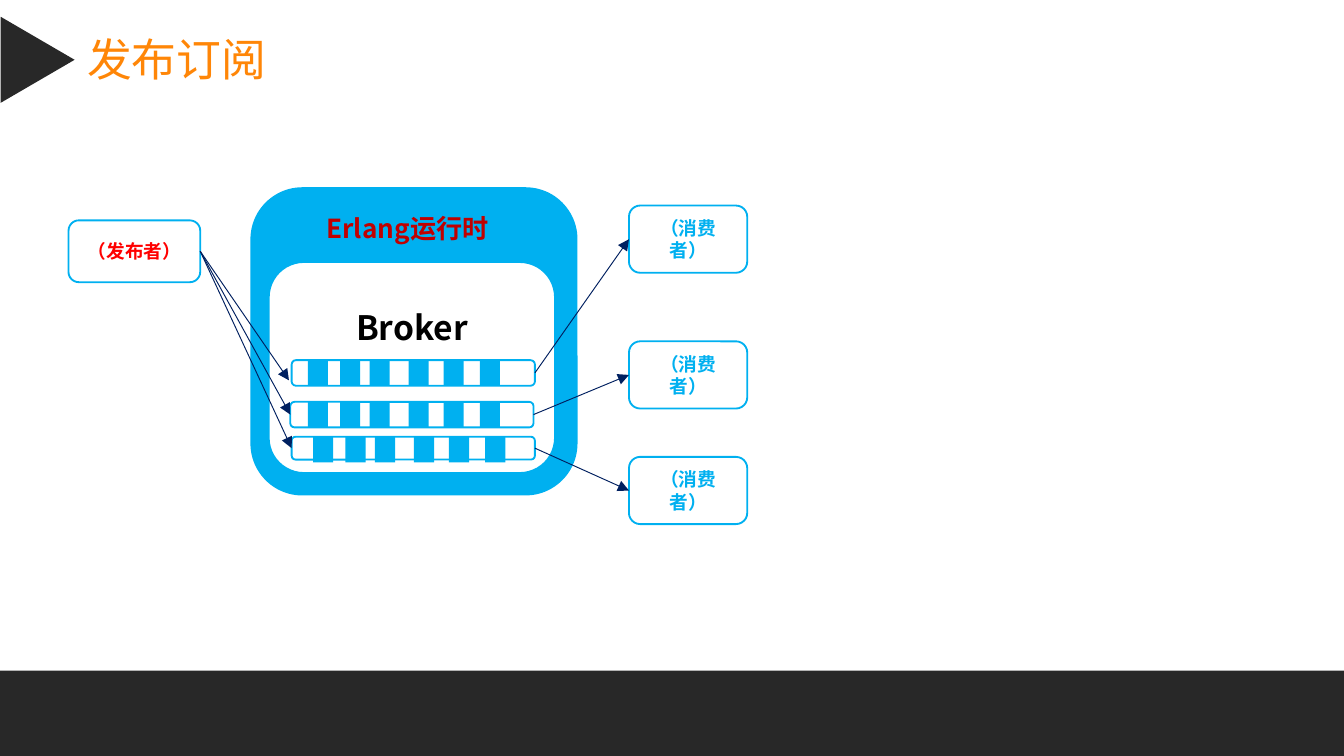
from dataclasses import dataclass
from typing import Optional

from lxml import etree
from pptx import Presentation
from pptx.dml.color import RGBColor
from pptx.enum.shapes import MSO_CONNECTOR, MSO_SHAPE
from pptx.enum.text import MSO_ANCHOR, PP_ALIGN
from pptx.oxml.ns import qn
from pptx.shapes.autoshape import Shape
from pptx.util import Inches, Pt

RECT = MSO_SHAPE.RECTANGLE
ROUND = MSO_SHAPE.ROUNDED_RECTANGLE
TRIANGLE = MSO_SHAPE.ISOSCELES_TRIANGLE
STRAIGHT = MSO_CONNECTOR.STRAIGHT
MIDDLE = MSO_ANCHOR.MIDDLE
CENTER = PP_ALIGN.CENTER
LEFT_SIDE, RIGHT_SIDE = 1, 3


@dataclass(frozen=True)
class Theme:
    dark: str = "282828"
    orange: str = "FF8607"
    blue: str = "00B0F0"
    navy: str = "002060"
    red: str = "FF0000"
    deep_red: str = "C00000"
    black: str = "000000"
    white: str = "FFFFFF"
    title_font: str = "Arial Narrow"
    font: str = "Noto Sans CJK SC"
    title: float = 24
    head: float = 18
    sub: float = 14
    label: float = 10
    border: float = 1
    arrow: float = 0.5


THEME = Theme()


@dataclass(frozen=True)
class Box:
    left: float
    top: float
    width: float
    height: float

    def place(self) -> tuple:
        return tuple(map(Inches, (self.left, self.top, self.width, self.height)))


@dataclass(frozen=True)
class Label:
    text: str
    size: float
    color: str
    bold: bool = True
    font: str = THEME.font


@dataclass(frozen=True)
class Lane:
    """One queue, its first stripe, its consumer and a free arrow tip."""
    frame: Box
    stripe: float
    reader_top: float
    tip: Optional[tuple] = None


STRIPE_STEPS = (0, 0.24, 0.46, 0.75, 1.01, 1.28)
STRIPE_WIDTH, STRIPE_HEIGHT = 0.15, 0.19
LANES = (
    Lane(Box(2.17, 2.68, 1.81, 0.19), 2.29, 1.53, (2.15, 2.83)),
    Lane(Box(2.16, 2.99, 1.81, 0.19), 2.29, 2.54),
    Lane(Box(2.17, 3.25, 1.81, 0.17), 2.33, 3.4),
)


def write(frame, label: Label) -> None:
    run = frame.paragraphs[0].add_run()
    run.text = label.text
    font = run.font
    font.size, font.bold, font.name = Pt(label.size), label.bold, label.font
    font.color.rgb = RGBColor.from_string(label.color)
    east = etree.SubElement(run._r.get_or_add_rPr(), qn("a:ea"))
    east.set("typeface", THEME.font)


def add_shape(slide, kind, box: Box, fill: Optional[str] = None,
              line: Optional[str] = None, label: Optional[Label] = None) -> Shape:
    shape = slide.shapes.add_shape(kind, *box.place())
    shape.shadow.inherit = False
    if fill:
        shape.fill.solid()
        shape.fill.fore_color.rgb = RGBColor.from_string(fill)
    else:
        shape.fill.background()
    if line:
        shape.line.color.rgb = RGBColor.from_string(line)
        shape.line.width = Pt(THEME.border)
    else:
        shape.line.fill.background()
    if label:
        frame = shape.text_frame
        frame.word_wrap, frame.vertical_anchor = True, MIDDLE
        frame.paragraphs[0].alignment = CENTER
        write(frame, label)
    return shape


def add_text(slide, box: Box, label: Label, wrap: bool = True) -> None:
    frame = slide.shapes.add_textbox(*box.place()).text_frame
    frame.word_wrap = wrap
    write(frame, label)


def add_arrow(slide, start: Shape, end: Shape, tip: Optional[tuple] = None) -> None:
    """Lead from the right side of start to the left side of end, or to tip."""
    x, y = map(Inches, tip or (0, 0))
    arrow = slide.shapes.add_connector(STRAIGHT, 0, 0, x, y)
    arrow.begin_connect(start, RIGHT_SIDE)
    if not tip:
        arrow.end_connect(end, LEFT_SIDE)
    arrow.line.color.rgb = RGBColor.from_string(THEME.navy)
    arrow.line.width = Pt(THEME.arrow)
    head = etree.SubElement(arrow.line._get_or_add_ln(), qn("a:tailEnd"))
    head.set("type", "triangle")
    etree.SubElement(arrow._element.spPr, qn("a:effectLst"))


def add_lane(slide, lane: Lane, sender: Shape) -> None:
    """Draw a queue with its stripes, its consumer and both arrows."""
    queue = add_shape(slide, ROUND, lane.frame, line=THEME.blue)
    for step in STRIPE_STEPS:
        box = Box(lane.stripe + step, lane.frame.top, STRIPE_WIDTH, STRIPE_HEIGHT)
        add_shape(slide, RECT, box, fill=THEME.blue)
    reader = add_shape(slide, ROUND, Box(4.68, lane.reader_top, 0.88, 0.5),
                       line=THEME.blue,
                       label=Label("（消费者）", THEME.label, THEME.blue))
    add_arrow(slide, sender, queue, lane.tip)
    add_arrow(slide, queue, reader)


def main() -> None:
    deck = Presentation()
    deck.slide_width = Inches(10)
    deck.slide_height = deck.slide_width * 9 // 16
    slide = deck.slides.add_slide(deck.slide_layouts[6])

    add_shape(slide, RECT, Box(0, 4.99, 10, 0.64), fill=THEME.dark)
    add_text(slide, Box(0.55, 0.19, 1.55, 0.5),
             Label("发布订阅", THEME.title, THEME.orange, False, THEME.title_font),
             wrap=False)
    marker = add_shape(slide, TRIANGLE, Box(-0.04, 0.17, 0.64, 0.55), fill=THEME.dark)
    marker.rotation = 90

    add_shape(slide, ROUND, Box(1.87, 1.4, 2.42, 2.28), THEME.blue, THEME.blue)
    add_text(slide, Box(2.33, 1.53, 1.57, 0.34),
             Label("Erlang运行时", THEME.sub, THEME.deep_red))
    broker = add_shape(slide, ROUND, Box(2, 1.95, 2.13, 1.57), THEME.white,
                       THEME.blue, Label("Broker", THEME.head, THEME.black))
    broker.text_frame.margin_bottom = Inches(0.65)
    sender = add_shape(slide, ROUND, Box(0.51, 1.64, 0.98, 0.46), line=THEME.blue,
                       label=Label("（发布者）", THEME.label, THEME.red))
    for lane in LANES:
        add_lane(slide, lane, sender)

    deck.save("out.pptx")


if __name__ == "__main__":
    main()
